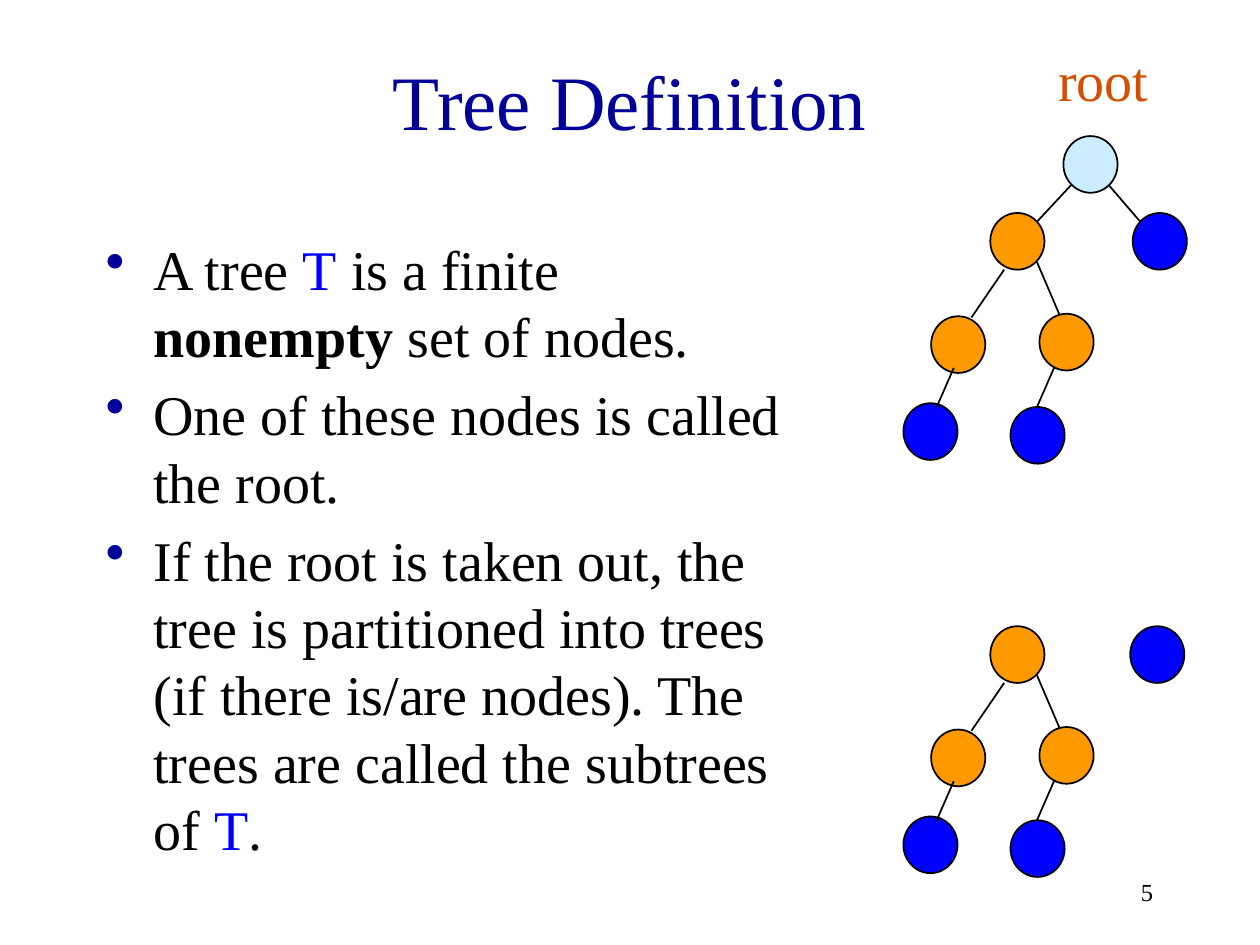
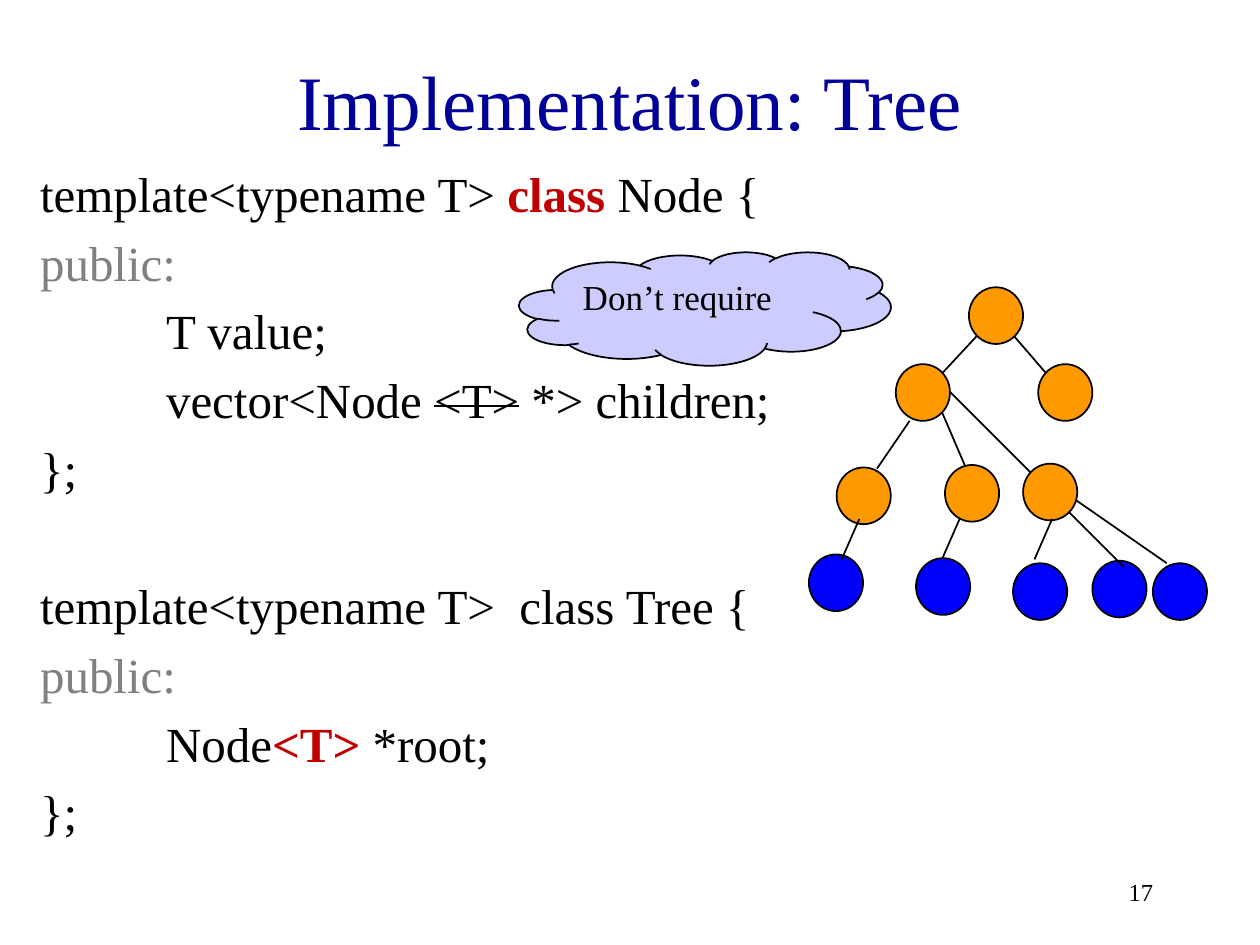
from lxml.etree import SubElement
from pptx import Presentation
from pptx.dml.color import RGBColor
from pptx.enum.shapes import MSO_CONNECTOR, MSO_SHAPE
from pptx.enum.text import MSO_ANCHOR, MSO_AUTO_SIZE, PP_ALIGN
from pptx.oxml.ns import qn
from pptx.util import Pt

EMU_PER_PX = 9144  # 100 px to the inch
FONT = "Times New Roman"
COLORS = {
    "title": "000099", "text": "000000", "symbol": "0000FF",
    "keyword": "C00000", "muted": "808080", "root label": "D45000",
    "root": "CCECFF", "inner": "FF9900", "leaf": "0000FF",
    "cloud": "CCCCFF", "outline": "000000",
}
NODE_SIZE = (43, 45)

# Tree parts, measured from the corner of the node that heads the subtree
SUBTREE_NODES = [(0, 0, "inner"), (-47, 82, "inner"), (39, 80, "inner"),
                 (-69, 151, "leaf"), (16, 154, "leaf")]
SUBTREE_EDGES = [(11, 45, -15, 83), (-29, 123, -43, 155),
                 (37, 39, 55, 81), (51, 122, 37, 154)]
CROWN_EDGES = [(64, -22, 37, 7), (94, -22, 119, 7)]
# The third child of slide 2, with its own leaves
BRANCH_NODES = [(101, 79, "inner"), (93, 158, "leaf"),
                (156, 156, "leaf"), (204, 158, "leaf")]
BRANCH_EDGES = [(43, 22, 107, 86), (143, 108, 215, 158),
                (137, 117, 181, 161), (124, 123, 110, 155)]


def px(*lengths):
    return [length * EMU_PER_PX for length in lengths]


def rgb(name):
    return RGBColor.from_string(COLORS[name])


def set_all(target, values):
    for name, value in values.items():
        setattr(target, name, value)


def write_runs(paragraph, runs, size, **paragraph_format):
    """Each run is a text with its colour name and any extra font values."""
    set_all(paragraph, paragraph_format)
    for text, color, *extra in runs:
        run = paragraph.add_run()
        run.text = text
        run.font.color.rgb = rgb(color)
        set_all(run.font, {"name": FONT, "size": Pt(size), **dict(*extra)})
    return paragraph


def add_text_box(slide, box, **frame_format):
    frame = slide.shapes.add_textbox(*px(*box)).text_frame
    set_all(frame, {"word_wrap": True, **frame_format})
    return frame


def next_paragraph(frame, index):
    return frame.add_paragraph() if index else frame.paragraphs[0]


def indent(paragraph, left, first=0):
    properties = paragraph._p.get_or_add_pPr()
    for name, length in (("marL", left), ("indent", first)):
        properties.set(name, str(length * EMU_PER_PX))
    return properties


def add_bullet(paragraph):
    properties = indent(paragraph, 38, -38)
    bullet_color = SubElement(properties, qn("a:buClr"))
    SubElement(bullet_color, qn("a:srgbClr"), val=COLORS["title"])
    SubElement(properties, qn("a:buChar"), char="•")


def add_filled_shape(shapes, kind, box, color):
    shape = shapes.add_shape(kind, *px(*box))
    shape.shadow.inherit = False
    shape.fill.solid()
    shape.fill.fore_color.rgb = rgb(color)
    shape.line.color.rgb = rgb("outline")
    shape.line.width = Pt(1)
    return shape


def add_edge(shapes, ends):
    edge = shapes.add_connector(MSO_CONNECTOR.STRAIGHT, *px(*ends))
    edge.line.color.rgb = rgb("outline")
    edge.line.width = Pt(1)
    SubElement(edge._element.spPr, qn("a:effectLst"))


def add_tree(slide, head, nodes, edges):
    x, y = head
    shapes = slide.shapes.add_group_shape().shapes
    for dx, dy, color in nodes:
        add_filled_shape(shapes, MSO_SHAPE.OVAL, (x + dx, y + dy, *NODE_SIZE), color)
    for x1, y1, x2, y2 in edges:
        add_edge(shapes, (x + x1, y + y1, x + x2, y + y2))


def add_full_tree(slide, head, root_color, child_color):
    crown = [(58, -61, root_color), (113, 0, child_color)]
    add_tree(slide, head, crown + SUBTREE_NODES, CROWN_EDGES + SUBTREE_EDGES)


def add_titled_slide(deck, heading, number):
    slide = deck.slides.add_slide(deck.slide_layouts[5])
    title = slide.shapes.title
    set_all(title, dict(zip(("left", "top", "width", "height"), px(75, 17, 850, 125))))
    set_all(title.text_frame, {"vertical_anchor": MSO_ANCHOR.MIDDLE,
                               "auto_size": MSO_AUTO_SIZE.NONE})
    write_runs(title.text_frame.paragraphs[0], [(heading, "title")], 44,
               alignment=PP_ALIGN.CENTER)
    page = add_text_box(slide, (717, 683, 208, 50), vertical_anchor=MSO_ANCHOR.MIDDLE)
    write_runs(page.paragraphs[0], [(number, "text")], 14, alignment=PP_ALIGN.RIGHT)
    return slide


def add_bullet_list(slide, box, items):
    frame = add_text_box(slide, box)
    for index, runs in enumerate(items):
        paragraph = next_paragraph(frame, index)
        write_runs(paragraph, runs, 32, space_before=Pt(6.4 if index else 0))
        add_bullet(paragraph)


def add_code(slide, box, blocks):
    """Lines are (indent level, runs); a wide gap parts the blocks."""
    frame = add_text_box(slide, box)
    index = 0
    for block in blocks:
        for row, (level, runs) in enumerate(block):
            gap = 0 if index == 0 else 5.6 if row else 45
            paragraph = next_paragraph(frame, index)
            write_runs(paragraph, runs, 28, space_before=Pt(gap))
            indent(paragraph, 100 * level)
            index += 1


def build_definition(deck):
    slide = add_titled_slide(deck, "Tree Definition", "5")
    add_bullet_list(slide, (74, 181, 567, 450), [
        [("A tree ", "text"), ("T", "symbol"), (" is a finite ", "text"),
         ("nonempty", "text", {"bold": True}), (" set of nodes.", "text")],
        [("One of these nodes is called the root.", "text")],
        [("If the root is taken out, the tree is partitioned into trees "
          "(if there is/are nodes). The trees are called the subtrees of ", "text"),
         ("T", "symbol"), (".", "text")],
    ])
    root_label = add_text_box(slide, (830, 31, 92, 64), word_wrap=False)
    write_runs(root_label.paragraphs[0], [("root", "root label")], 32)

    # Whole tree above, its subtrees without the root below
    add_full_tree(slide, (786, 169), "root", "leaf")
    add_tree(slide, (786, 497), SUBTREE_NODES, SUBTREE_EDGES)
    add_tree(slide, (897, 497), [(0, 0, "leaf")], [])


def build_implementation(deck):
    slide = add_titled_slide(deck, "Implementation: Tree", "17")
    bold = {"bold": True}
    public = (0, [("public:", "muted")])
    end = (0, [("};", "text")])
    node_class = [
        (0, [("template<typename T> ", "text"), ("class", "keyword", bold),
             (" Node {", "text")]),
        public,
        (1, [("T value;", "text")]),
        (1, [("vector<Node ", "text"), ("<T>", "text"), (" *> children;", "text")]),
        end,
    ]
    tree_class = [
        (0, [("template<typename T>  class Tree {", "text")]),
        public,
        (1, [("Node", "text"), ("<T>", "keyword", bold), (" *root;", "text")]),
        end,
    ]
    code_box = (22, 125, 975, 600)
    add_code(slide, code_box, [node_class, tree_class])
    strike_unneeded_parameter(slide)

    add_full_tree(slide, (711, 289), "inner", "inner")
    add_tree(slide, (711, 289), BRANCH_NODES, BRANCH_EDGES)

    cloud = add_filled_shape(slide.shapes, MSO_SHAPE.CLOUD, (412, 200, 295, 90), "cloud")
    cloud.text_frame.vertical_anchor = MSO_ANCHOR.TOP
    write_runs(cloud.text_frame.paragraphs[0], [("Don’t require", "text")], 20,
               alignment=PP_ALIGN.LEFT)


def strike_unneeded_parameter(slide):
    """Cross out the <T> that the children line does not require."""
    code = slide.shapes[-1].text_frame
    parameter = code.paragraphs[3].runs[1]
    parameter.font._element.set("strike", "sngStrike")


def main():
    deck = Presentation()
    deck.slide_width, deck.slide_height = px(1000, 750)
    build_definition(deck)
    build_implementation(deck)
    deck.save("out.pptx")


if __name__ == "__main__":
    main()
